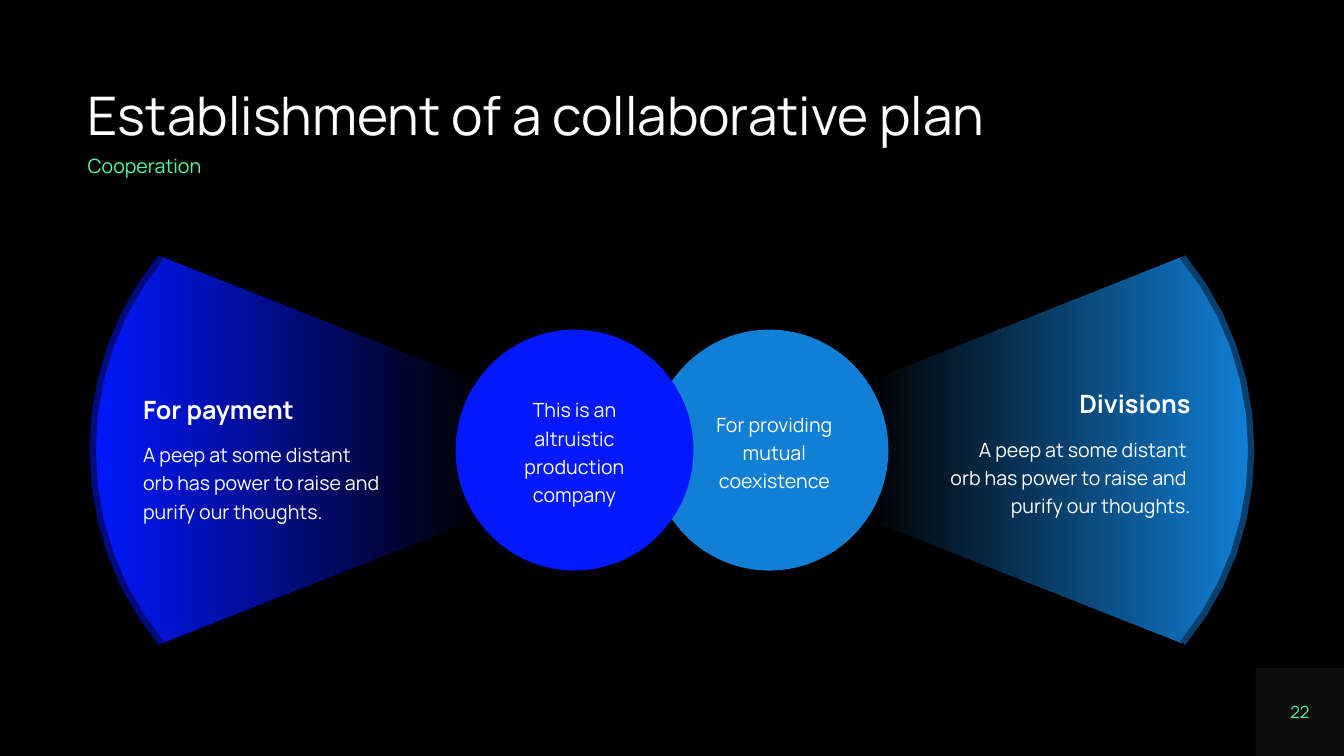
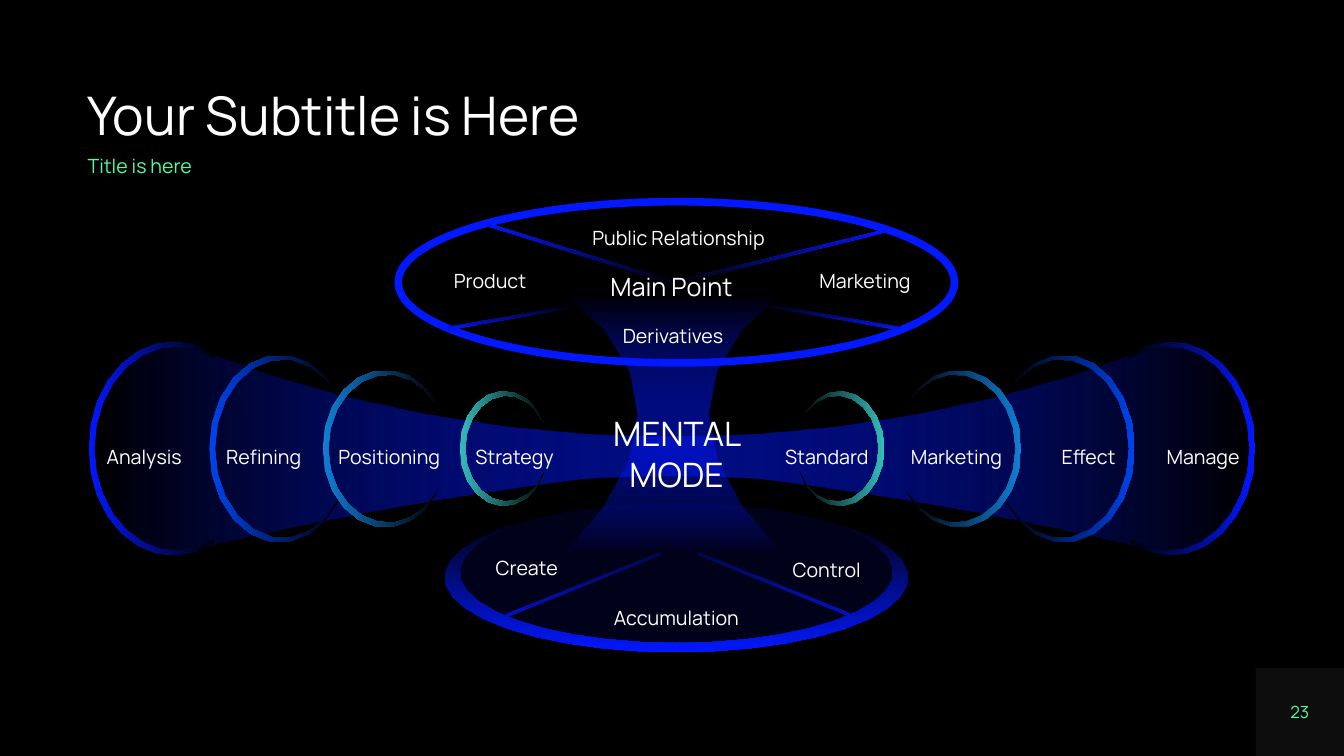
import math
from copy import deepcopy

from lxml import etree
from pptx import Presentation
from pptx import util as u
from pptx.dml.color import RGBColor
from pptx.enum import shapes, text
from pptx.oxml.ns import qn

W, H = u.Inches(13.333), u.Inches(7.5)
FONT = "Manrope"
FULL = (0, 0, 100, 100)
C = {
    "black": "000000", "white": "FFFFFF", "mint": "4EFDA2", "grey": "808080",
    "blue": "0218FF", "navy": "000B80", "royal": "0044ED",
    "azure": "117FD6", "steel": "093F6B", "teal": "34BEBC",
    "dusk": "00074A", "cobalt": "0212BF",
}
ALIGN = {"l": text.PP_ALIGN.LEFT, "c": text.PP_ALIGN.CENTER, "r": text.PP_ALIGN.RIGHT}
ANCHOR = {"t": text.MSO_ANCHOR.TOP, "m": text.MSO_ANCHOR.MIDDLE}
GLOW = [(0, "black"), (50, "blue", 50), (100, "black")]


def rgb(name):
    return RGBColor.from_string(C[name])


def emu(x, y):
    return round(W * x / 100), round(H * y / 100)


def inside(box, x, y, flip=False):
    left, top, w, h = box
    return left + w * (100 - x if flip else x) / 100, top + h * y / 100


def set_alpha(clr, alpha):
    etree.SubElement(clr, qn("a:alpha")).set("val", str(alpha * 1000))


def paint(sp, fill=None, alpha=None, angle=0, line=None, width=1):
    sp.shadow.inherit = False
    if fill is None:
        sp.fill.background()
    elif isinstance(fill, str):
        sp.fill.solid()
        sp.fill.fore_color.rgb = rgb(fill)
        if alpha:
            set_alpha(sp._element.spPr.find(qn("a:solidFill"))[0], alpha)
    else:
        sp.fill.gradient()
        sp.fill.gradient_angle = -angle % 360
        stops = sp._element.spPr.find(qn("a:gradFill")).find(qn("a:gsLst"))
        for gs in list(stops):
            stops.remove(gs)
        for pos, name, *opacity in fill:
            gs = etree.SubElement(stops, qn("a:gs"), pos=str(pos * 1000))
            clr = etree.SubElement(gs, qn("a:srgbClr"), val=C[name])
            if opacity:
                set_alpha(clr, opacity[0])
    if line:
        sp.line.color.rgb = rgb(line)
        sp.line.width = u.Pt(width)
    else:
        sp.line.fill.background()
    return sp


def frame(sp, anchor="t", insets=(0, 0, 0, 0)):
    tf = sp.text_frame
    tf.word_wrap = True
    tf.auto_size = text.MSO_AUTO_SIZE.NONE
    tf.vertical_anchor = ANCHOR[anchor]
    tf.margin_left, tf.margin_top = emu(*insets[:2])
    tf.margin_right, tf.margin_bottom = emu(*insets[2:])
    return tf


def write(tf, words, size=14, color="white", bold=False, align="l", spacing=1.2, before=0):
    p = tf.add_paragraph() if tf.text else tf.paragraphs[0]
    p.text = words
    p.alignment = ALIGN[align]
    p.line_spacing = spacing
    p.space_before = u.Pt(before)
    for r in p.runs:
        r.font.name, r.font.size, r.font.bold = FONT, u.Pt(size), bold
        r.font.color.rgb = rgb(color)
    for br in p._p.findall(qn("a:br")):
        br.insert(0, deepcopy(p.runs[0]._r.rPr))


def preset(s, kind, box, **look):
    sp = s.shapes.add_shape(kind, *emu(*box[:2]), *emu(*box[2:]))
    return paint(sp, **look)


def ellipse(s, box, **look):
    return preset(s, shapes.MSO_SHAPE.OVAL, box, **look)


def label(s, box, x, y, words, align="c", width=16, **fmt):
    left, top = inside(box, x, y)
    left -= width * {"l": 0, "c": 0.5, "r": 1}[align]
    tb = s.shapes.add_textbox(*emu(left, top), *emu(width, 3.6))
    write(frame(tb), words, align=align, **fmt)


def trace(segments, steps=6):
    pts = [segments[0]]
    for seg in segments[1:]:
        if len(seg) == 2:
            pts.append(seg)
            continue
        ctrl = [pts[-1], seg[:2], seg[2:4], seg[4:]]
        for i in range(1, steps + 1):
            t = i / steps
            mix = [(1 - t) ** 3, 3 * t * (1 - t) ** 2, 3 * t * t * (1 - t), t ** 3]
            pts.append(tuple(sum(m * c[k] for m, c in zip(mix, ctrl)) for k in (0, 1)))
    return pts


def arc(cx, cy, rx, ry, start, end, steps):
    angles = [math.radians(start + (end - start) * i / steps) for i in range(steps + 1)]
    return [(cx + rx * math.cos(a), cy + ry * math.sin(a)) for a in angles]


def crescent(outer, inner, gap, facing=0, steps=18):
    ends = facing + gap, facing + 360 - gap
    return arc(*outer, *ends, steps) + arc(*inner, *ends[::-1], steps)


def outline(s, box, pts, flip=False, close=True, **look):
    pts = [emu(*inside(box, x, y, flip)) for x, y in pts]
    fb = s.shapes.build_freeform(*pts[0], scale=1.0)
    fb.add_line_segments(pts[1:], close=close)
    return paint(fb.convert_to_shape(), **look)


def spoke(s, box, hub, rim, dim="black", bright="blue"):
    half = 20 / box[3]
    ends = [hub, rim]
    pts = [(x, y - half) for x, y in ends] + [(x, y + half) for x, y in ends[::-1]]
    top, bottom = (dim, bright) if hub[1] < rim[1] else (bright, dim)
    outline(s, box, pts, fill=[(0, top), (100, bottom)], angle=90)


def base_slide(prs, title, subtitle, number):
    s = prs.slides.add_slide(prs.slide_layouts[5])
    corner = preset(s, shapes.MSO_SHAPE.RECTANGLE, (93.43, 88.33, 6.57, 11.67),
                    fill="grey", alpha=10)
    write(frame(corner, "m"), number, size=12, color="mint", align="c", spacing=1)
    t = s.shapes.title
    t.left, t.top = emu(6.52, 11.87)
    t.width, t.height = emu(86.9, 7.73)
    write(frame(t), title, size=38, spacing=0.9)
    label(s, FULL, 6.52, 20.67, subtitle, align="l", color="mint", spacing=0.9)
    return s


def fan(s, box, heading, body, tint, rim_tint, anchor, insets, flip=False):
    rim = [(17.75, 0), (6.5, 13.6, 0, 31.1, 0, 50), (0, 69, 6.5, 86.4, 17.75, 100)]
    neck = [(100, 67.6), (96.6, 62.7, 94.8, 56.6, 94.8, 50),
            (94.8, 43.5, 96.6, 37.6, 100, 32.6)]
    ends = ("black", tint) if flip else (tint, "black")
    sp = outline(s, box, trace(rim + neck), flip, fill=list(zip((0, 100), ends)))
    tf = frame(sp, anchor, insets)
    align = "r" if flip else "l"
    write(tf, heading, size=18, bold=True, align=align)
    write(tf, body, align=align, before=10)
    outline(s, box, trace(rim), flip, close=False, line=rim_tint, width=4.5)


def disc(s, box, words, tint, left_inset):
    sp = ellipse(s, box, fill=tint)
    write(frame(sp, "m", (left_inset, 0.67, 0.75, 0.67)), words, align="c")


def plan_slide(prs):
    s = base_slide(prs, "Establishment of a collaborative plan", "Cooperation", "22")
    body = "A peep at some distant \norb has power to raise and \npurify our thoughts."
    x, y, w, h = 6.9, 34, 28.72, 51.07
    fan(s, (100 - x - w, y, w, h), "Divisions", body, "azure", "steel",
        "m", (4.5, 0.67, 4.5, 0.67), flip=True)
    disc(s, (48.4, 43.6, 17.7, 31.87), "For providing mutual coexistence", "azure", 1.5)
    fan(s, (x, y, w, h), "For payment", body, "blue", "navy",
        "t", (3.75, 17.33, 4.5, 0.67))
    disc(s, (33.9, 43.6, 17.7, 31.87), "This is an altruistic production company",
         "blue", 0.75)


def hourglass(s, box):
    pts = trace([(0, 0), (100, 0), (54.8, 28.2, 55.3, 62.5, 100, 100),
                 (0, 100), (44.7, 62.5, 45.2, 28.2, 0, 0)])
    outline(s, box, pts, fill=GLOW, angle=90)


def rail(s, box):
    half = trace([
        (50, 42), (36.1, 42, 22.1, 28.8, 9.3, 2.3), (8.3, 0.5), (7.3, 0),
        (1.7, 3.7, 0, 29.7, 0.6, 56.6), (1.6, 83.6, 4.7, 100, 9.6, 92.2),
        (19.1, 80.4, 28.4, 71.2, 37.7, 64.4), (42, 61.2),
        (44.7, 60.3, 47.4, 59.8, 50, 59.8)])
    outline(s, box, half + [(100 - x, y) for x, y in half[::-1]], fill=GLOW)
    rings = [
        (7.4, 7.23, 48.4, 62, "blue", ("Analysis", 1.7), ("Manage", 98.5)),
        (16.5, 6.03, 42.5, 34, "royal", ("Refining", 11.9), ("Effect", 87.9)),
        (25.5, 5.34, 35.6, 35, "azure", ("Positioning", 21.5), ("Marketing", 78.2)),
        (35.65, 3.79, 26, 25, "teal", ("Strategy", 33.2), ("Standard", 66.8)),
    ]
    cy = 47.5
    for cx, rx, ry, gap, tint, left, right in rings:
        pts = crescent((cx, cy, rx, ry), (cx + 0.25, cy, rx - 0.23, ry - 1.95), gap)
        outline(s, box, pts, fill=[(0, tint), (100, "black")])
        outline(s, box, pts, True, fill=[(0, "black"), (100, tint)])
        for (words, x), align in ((left, "l"), (right, "r")):
            label(s, box, x, 43.8, words, align)


def bowl(s, box):
    ellipse(s, box, fill="blue", alpha=10)
    pts = crescent((50, 50, 50, 50), (50, 46.6, 46.75, 47.3), 30, facing=-90, steps=32)
    outline(s, box, pts, fill=[(0, "black"), (100, "blue")], angle=90)
    for hub, rim in (((46.7, 33.8), (13.2, 75.7)), ((54.6, 33.8), (87.4, 75))):
        spoke(s, box, hub, rim, "dusk", "cobalt")
    for words, x, y in (("Accumulation", 50, 66.2), ("Create", 17.7, 32.4),
                        ("Control", 82.4, 33.8)):
        label(s, box, x, y, words)


def wheel(s, box):
    ellipse(s, box, line="blue", width=5.4)
    for hub, rim in (((67, 64.7), (90.2, 78.8)), ((30.8, 65.3), (8.5, 79)),
                     ((49.6, 50.6), (15.9, 14.1)), ((49.4, 50.6), (88, 17.8))):
        spoke(s, box, hub, rim)
    label(s, box, 49.1, 39.4, "Main Point", size=18)
    for words, x, y in (("Public Relationship", 50.4, 11.9), ("Derivatives", 49.4, 73.1),
                        ("Product", 16.5, 38.7), ("Marketing", 83.9, 38.7)):
        label(s, box, x, y, words)


def mode_slide(prs):
    s = base_slide(prs, "Your Subtitle is Here", "Title is here", "23")
    hourglass(s, (41.93, 38.67, 16.27, 34.53))
    rail(s, (6.45, 45.47, 87.1, 29.2))
    bowl(s, (33.08, 66.53, 34.5, 19.73))
    wheel(s, (29.63, 26.67, 41.4, 21.33))
    label(s, FULL, 50.33, 54.67, "MENTAL MODE", width=10.8, size=24, spacing=1)


def main():
    prs = Presentation()
    prs.slide_width, prs.slide_height = W, H
    back = prs.slide_master.background.fill
    back.solid()
    back.fore_color.rgb = rgb("black")
    plan_slide(prs)
    mode_slide(prs)
    prs.save("out.pptx")


if __name__ == "__main__":
    main()
